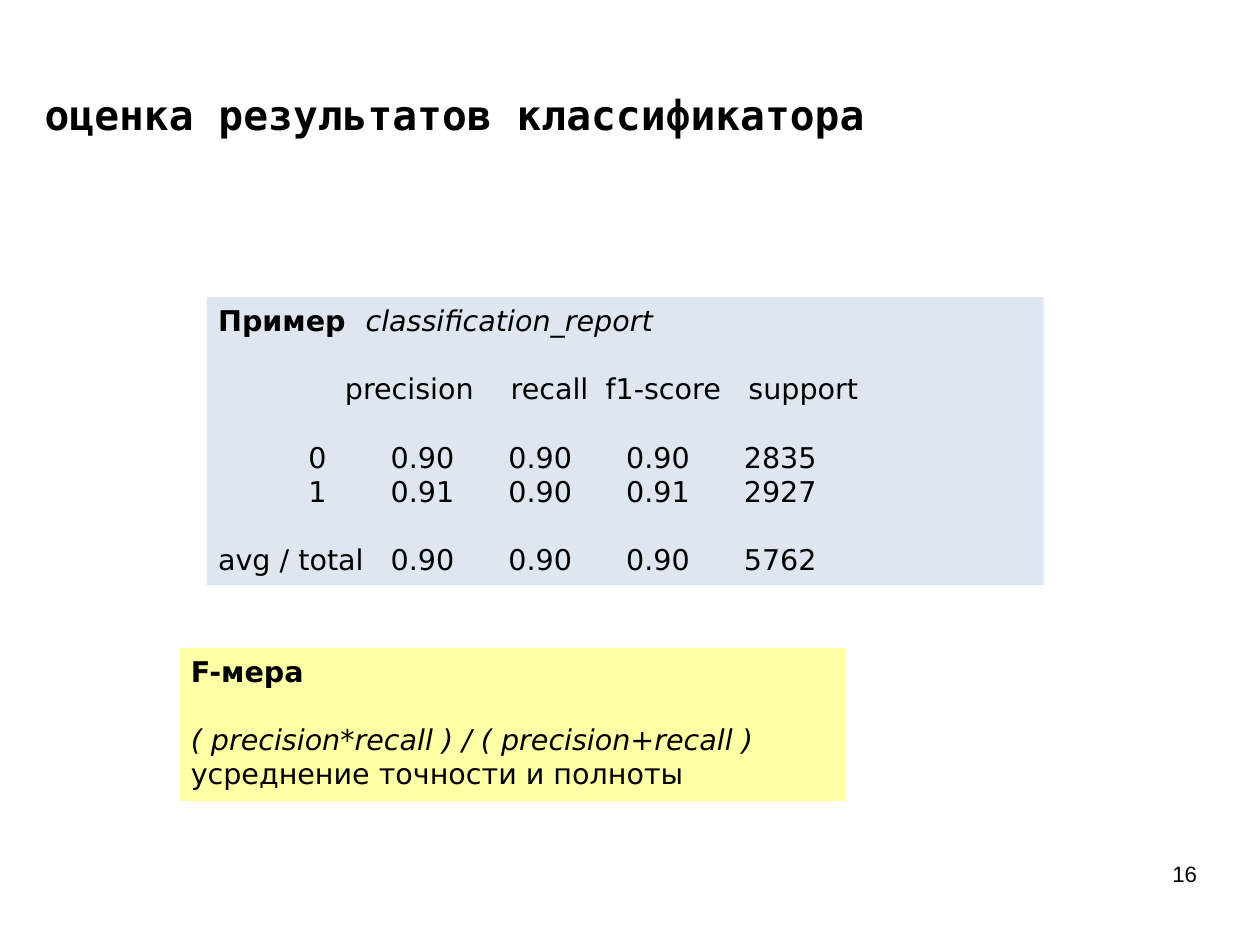
from dataclasses import dataclass

from lxml import etree
from pptx import Presentation, util as u
from pptx.dml.color import RGBColor
from pptx.enum import shapes, text
from pptx.oxml.ns import qn

WIDE, HIGH = u.Cm(28), u.Cm(21)
SANS, MONO = "DejaVu Sans", "DejaVu Sans Mono"
GAP = 21.5  # one line of body text, in points
CELLS = [0.79] + [1.51 + 1.03 * i for i in range(4)]
HEADS = [1.11, 2.56, 3.39, 4.64]


@dataclass
class Run:
    words: str
    bold: bool = False
    slant: bool = False
    size: int = 18
    face: str = SANS


@dataclass
class Line:
    runs: list[Run]
    gap: float = 0
    tabs: tuple | list = ()
    side: text.PP_ALIGN = text.PP_ALIGN.LEFT


@dataclass
class Area:
    """Place in percent of the slide's width and height."""
    left: float
    top: float
    width: float
    height: float

    def box(self) -> tuple:
        return (int(WIDE * self.left / 100), int(HIGH * self.top / 100),
                int(WIDE * self.width / 100), int(HIGH * self.height / 100))


@dataclass
class Panel:
    area: Area
    fill: str
    lines: list[Line]


def color(code: str) -> RGBColor:
    return RGBColor.from_string(code)


def set_tabs(para, stops) -> None:
    """Add left tab stops, in inches from the text edge."""
    tabs = etree.SubElement(para._p.get_or_add_pPr(), qn("a:tabLst"))
    for stop in stops:
        etree.SubElement(tabs, qn("a:tab"), pos=str(int(u.Inches(stop))), algn="l")


def write(frame, lines: list[Line], pad: tuple = (0, 0), grow: bool = True) -> None:
    frame.word_wrap = True
    frame.margin_left = frame.margin_right = u.Inches(pad[0])
    frame.margin_top = frame.margin_bottom = u.Inches(pad[1])
    fit = text.MSO_AUTO_SIZE
    frame.auto_size = fit.SHAPE_TO_FIT_TEXT if grow else fit.NONE
    for i, line in enumerate(lines):
        para = frame.add_paragraph() if i else frame.paragraphs[0]
        if line.tabs:
            set_tabs(para, line.tabs)
        para.alignment = line.side
        para.space_before = u.Pt(line.gap)
        for item in line.runs:
            run = para.add_run()
            run.text = item.words
            font = run.font
            font.name, font.size = item.face, u.Pt(item.size)
            font.bold, font.italic = item.bold, item.slant
            font.color.rgb = color("000000")


def draw_panel(slide, panel: Panel) -> None:
    shape = slide.shapes.add_shape(shapes.MSO_SHAPE.RECTANGLE, *panel.area.box())
    shape.shadow.inherit = False
    shape.fill.solid()
    shape.fill.fore_color.rgb = color(panel.fill)
    shape.line.fill.background()
    shape.text_frame.vertical_anchor = text.MSO_ANCHOR.TOP
    write(shape.text_frame, panel.lines, (0.1, 0.05))


def draw_title(slide, area: Area, words: str) -> None:
    title = slide.shapes.title
    title.left, title.top, title.width, title.height = area.box()
    title.text_frame.vertical_anchor = text.MSO_ANCHOR.MIDDLE
    write(title.text_frame, [Line([Run(words, bold=True, size=26, face=MONO)])])


def draw_number(slide, area: Area, words: str) -> None:
    box = slide.shapes.add_textbox(*area.box())
    line = Line([Run(words, size=14, face="Arial")], side=text.PP_ALIGN.RIGHT)
    write(box.text_frame, [line], grow=False)


def row(*cells: str, gap: float = 0, tabs: list = CELLS) -> Line:
    return Line([Run("\t".join(cells))], gap, tabs)


REPORT = Panel(Area(16.42, 31.44, 66.42, 30.47), "DEE6EF", [
    Line([Run("Пример\t", bold=True), Run("classification_report", slant=True)],
         tabs=[1.29]),
    row("", "precision", "recall", "f1-score", "support", gap=GAP, tabs=HEADS),
    row("", "0", "0.90", "0.90", "0.90", "2835", gap=GAP),
    row("", "1", "0.91", "0.90", "0.91", "2927"),
    row("avg / total", "0.90", "0.90", "0.90", "5762", gap=GAP, tabs=CELLS[1:]),
])
MEASURE = Panel(Area(14.25, 68.56, 52.9, 16.2), "FFFFA6", [
    Line([Run("F-мера", bold=True)]),
    Line([Run("( precision*recall ) / ( precision+recall )", slant=True)], GAP),
    Line([Run("усреднение точности и полноты")]),
])


def main() -> None:
    deck = Presentation()
    deck.slide_width, deck.slide_height = WIDE, HIGH
    slide = deck.slides.add_slide(deck.slide_layouts[5])
    draw_title(slide, Area(3.54, 8.83, 70.05, 6.41),
               "оценка результатов классификатора")
    for panel in (REPORT, MEASURE):
        draw_panel(slide, panel)
    draw_number(slide, Area(71.69, 91.05, 23.32, 6.89), "16")
    deck.save("out.pptx")


if __name__ == "__main__":
    main()
